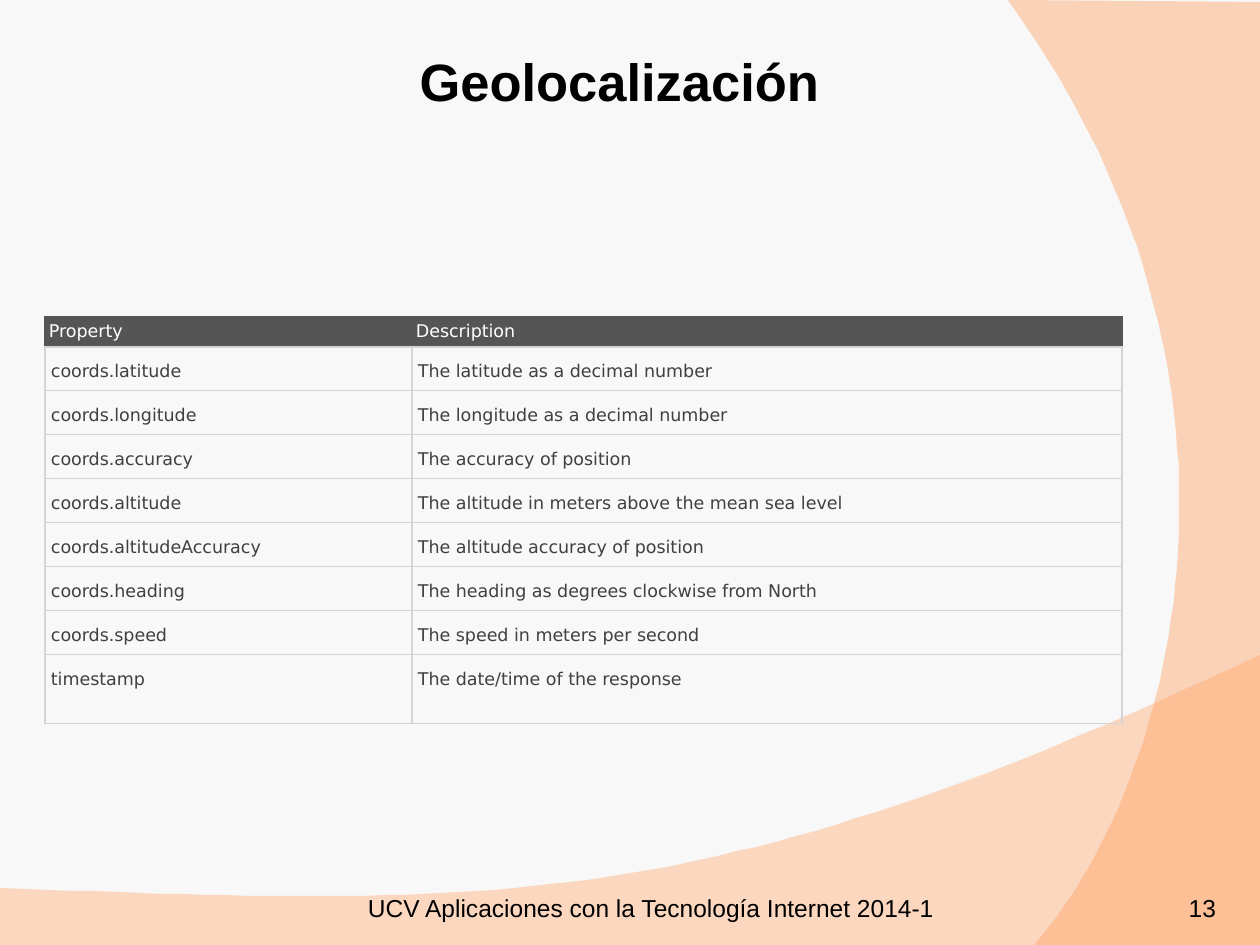
import pptx
import pptx.dml.color
import pptx.enum.text
import pptx.oxml
import pptx.oxml.ns
import pptx.util

EMU_PER_PX = 914400 / 126
BACKGROUND = pptx.dml.color.RGBColor(0xF8, 0xF8, 0xF8)
LIGHT_ORANGE = pptx.dml.color.RGBColor(0xFF, 0xAF, 0x7B)
ORANGE = pptx.dml.color.RGBColor(0xFE, 0x9B, 0x59)
BLACK = pptx.dml.color.RGBColor(0x00, 0x00, 0x00)
WHITE = pptx.dml.color.RGBColor(0xFF, 0xFF, 0xFF)
HEADER_GRAY = pptx.dml.color.RGBColor(0x55, 0x55, 0x55)
BODY_GRAY = pptx.dml.color.RGBColor(0x40, 0x40, 0x40)
BORDER_GRAY = pptx.dml.color.RGBColor(0xD4, 0xD4, 0xD4)
ALIGN = pptx.enum.text.PP_ALIGN
ANCHOR = pptx.enum.text.MSO_ANCHOR

PROPERTIES = [
    ("Property", "Description"),
    ("coords.latitude", "The latitude as a decimal number"),
    ("coords.longitude", "The longitude as a decimal number"),
    ("coords.accuracy", "The accuracy of position"),
    ("coords.altitude", "The altitude in meters above the mean sea level"),
    ("coords.altitudeAccuracy", "The altitude accuracy of position"),
    ("coords.heading", "The heading as degrees clockwise from North"),
    ("coords.speed", "The speed in meters per second"),
    ("timestamp", "The date/time of the response"),
]


def px(length):
    """Turn pixels into EMU."""
    return pptx.util.Emu(round(length * EMU_PER_PX))


def curve(start, control_1, control_2, end, steps=60):
    """Return points along a cubic Bezier curve."""
    points = []
    for step in range(steps + 1):
        t = step / steps
        weights = ((1 - t) ** 3, 3 * t * (1 - t) ** 2, 3 * t * t * (1 - t), t ** 3)
        corners = (start, control_1, control_2, end)
        points.append(tuple(sum(w * corner[axis] for w, corner in zip(weights, corners))
                            for axis in (0, 1)))
    return points


def add_swoosh(slide, box, points, color, opacity):
    """Draw a translucent outline behind everything, with points relative to the box."""
    left, top = box
    placed = [(left + x, top + y) for x, y in points]
    builder = slide.shapes.build_freeform(*placed[0], scale=EMU_PER_PX)
    builder.add_line_segments(placed[1:], close=True)
    shape = builder.convert_to_shape()
    shape.shadow.inherit = False
    shape.line.fill.background()
    shape.fill.solid()
    shape.fill.fore_color.rgb = color
    color_element = shape.fill._xPr.find(".//" + pptx.oxml.ns.qn("a:srgbClr"))
    color_element.append(pptx.oxml.parse_xml(
        f'<a:alpha {pptx.oxml.ns.nsdecls("a")} val="{opacity * 1000}"/>'))
    return shape


def add_background(slide):
    """Colour the slide and lay both swooshes at the back."""
    slide.background.fill.solid()
    slide.background.fill.fore_color.rgb = BACKGROUND
    bottom = curve((1260, 0), (704, 263), (493, 251), (0, 233))
    side = curve((26, 945), (170, 780), (275, 378), (0, 0))
    swooshes = [
        add_swoosh(slide, (0, 655), [(0, 290), (1260, 290)] + bottom, LIGHT_ORANGE, 45),
        add_swoosh(slide, (1008, 0), [(252, 2), (252, 945)] + side, ORANGE, 40),
    ]
    for index, shape in enumerate(swooshes):
        slide.shapes._spTree.insert(2 + index, shape._element)


def style_text(frame, text, size, font_name, color, align, bold=False):
    """Write one paragraph and set its font."""
    frame.text = text
    paragraph = frame.paragraphs[0]
    paragraph.alignment = align
    font = paragraph.font
    font.size = pptx.util.Pt(size)
    font.name = font_name
    font.bold = bold
    font.color.rgb = color
    return paragraph


def place_text(shape, box, anchor):
    """Put a text shape into its box."""
    shape.left, shape.top, shape.width, shape.height = map(px, box)
    frame = shape.text_frame
    frame.word_wrap = True
    frame.auto_size = pptx.enum.text.MSO_AUTO_SIZE.NONE
    frame.vertical_anchor = anchor
    frame.margin_left = frame.margin_right = px(13)
    frame.margin_top = frame.margin_bottom = px(13)
    return frame


def add_title(slide, box, text):
    """Move and format the title placeholder."""
    frame = place_text(slide.shapes.title, box, ANCHOR.MIDDLE)
    style_text(frame, text, 30, "Arial", BLACK, ALIGN.CENTER, True)


def add_footer_text(slide, box, text, align):
    """Add one text of the footer."""
    frame = place_text(slide.shapes.add_textbox(*map(px, box)), box, ANCHOR.BOTTOM)
    style_text(frame, text, 14, "Arial", BLACK, align)


def set_borders(cell, outer, bottom):
    """Give a cell its four border lines."""
    properties = cell._tc.get_or_add_tcPr()
    for side, color in (("L", outer), ("R", outer), ("T", outer), ("B", bottom)):
        properties.append(pptx.oxml.parse_xml(
            f'<a:ln{side} {pptx.oxml.ns.nsdecls("a")} w="9525"><a:solidFill>'
            f'<a:srgbClr val="{color}"/></a:solidFill></a:ln{side}>'))


def format_cell(cell, text, is_header):
    """Fill one cell of the property table."""
    set_borders(cell, HEADER_GRAY if is_header else BORDER_GRAY, BORDER_GRAY)
    if is_header:
        cell.fill.solid()
        cell.fill.fore_color.rgb = HEADER_GRAY
    else:
        cell.fill.background()
    cell.margin_left = cell.margin_right = px(4 if is_header else 6)
    cell.margin_top = cell.margin_bottom = px(4 if is_header else 9)
    color = WHITE if is_header else BODY_GRAY
    paragraph = style_text(cell.text_frame, text, 10, "DejaVu Sans", color, ALIGN.LEFT)
    if not is_header:
        paragraph.line_spacing = 1.27


def add_property_table(slide, box):
    """Add the table of position properties."""
    table = slide.shapes.add_table(len(PROPERTIES), 2, *map(px, box)).table
    first_column = 367
    table.columns[0].width = px(first_column)
    table.columns[1].width = px(box[2] - first_column)
    heights = [30] + [44] * (len(PROPERTIES) - 2) + [69]
    for row_index, (row, height) in enumerate(zip(table.rows, heights)):
        row.height = px(height)
        for cell, text in zip(row.cells, PROPERTIES[row_index]):
            format_cell(cell, text, row_index == 0)


def main():
    """Build the slide and save it."""
    presentation = pptx.Presentation()
    presentation.slide_width, presentation.slide_height = px(1260), px(945)
    slide = presentation.slides.add_slide(presentation.slide_layouts[5])
    add_background(slide)
    add_title(slide, (81, 25, 1077, 111), "Geolocalización")
    add_property_table(slide, (45, 317, 1077, 407))
    add_footer_text(slide, (1124, 885, 105, 50), "13", ALIGN.RIGHT)
    add_footer_text(slide, (334, 885, 634, 50),
                    "UCV Aplicaciones con la Tecnología Internet 2014-1", ALIGN.CENTER)
    presentation.save("out.pptx")


if __name__ == "__main__":
    main()
